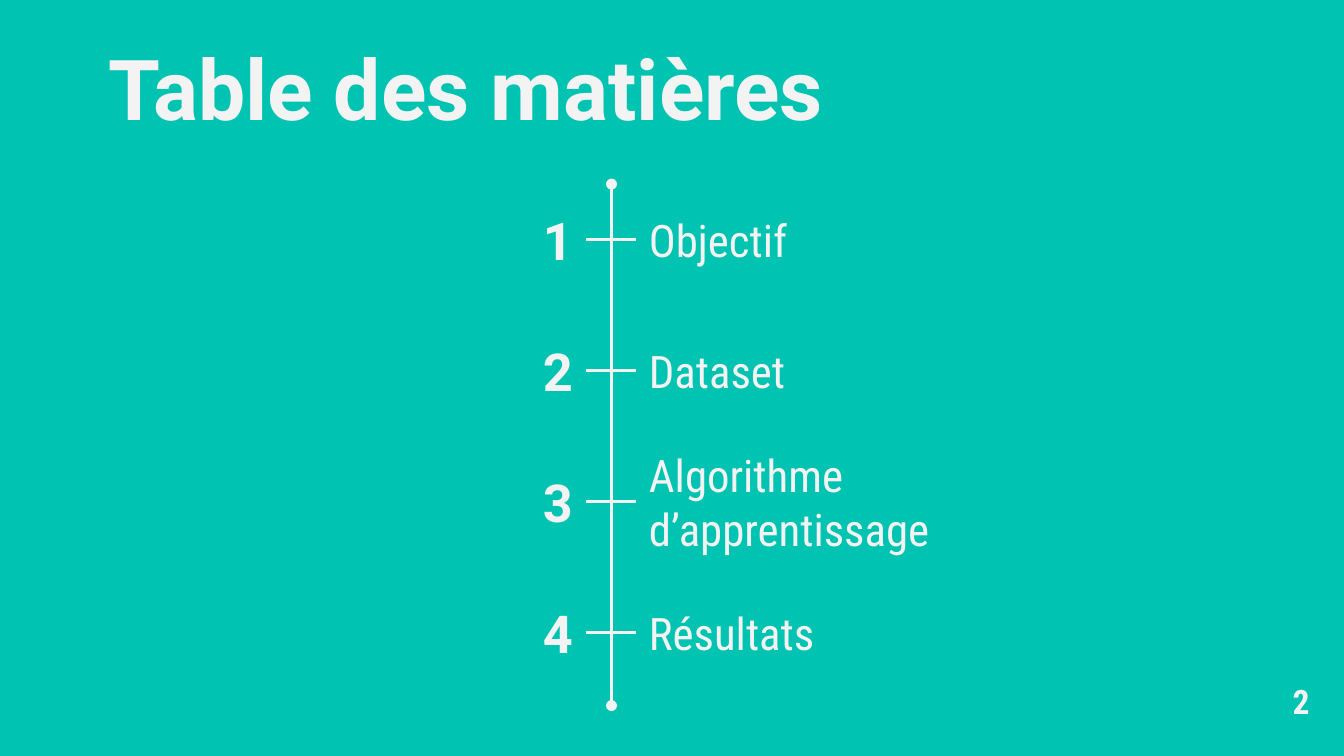
from dataclasses import dataclass

from lxml import etree
from pptx import Presentation
from pptx import util as u
from pptx.dml.color import RGBColor
from pptx.enum import shapes, text
from pptx.oxml.ns import qn

TITLE = "Table des matières"
ITEMS = ["Objectif", "Dataset", "Algorithme d’apprentissage", "Résultats"]
PAGE = "2"


@dataclass(frozen=True)
class Theme:
    back: RGBColor = RGBColor(0x00, 0xC3, 0xB1)
    ink: RGBColor = RGBColor(0xF3, 0xF3, 0xF3)
    head: str = "Roboto"
    body: str = "Roboto Condensed"
    title: int = 45
    num: int = 28
    item: int = 24
    page: int = 18
    line: float = 1.5


T = Theme()
LEFT, RIGHT = text.PP_ALIGN.LEFT, text.PP_ALIGN.RIGHT
WIDE = 10
HIGH = WIDE * 9 / 16
AXIS, TOP, END = 4.55, 1.37, 5.25    # timeline: across, and its two ends
LAST, ROW = 4.29, 0.83               # top of the last row, row height
PITCH = (LAST - TOP) / (len(ITEMS) - 1)
NUM_R, ITEM_L = 4.36, 4.73           # ends of each tick
NUM_W, ITEM_W = 0.88, 3.62


def write(slide, words, area, size, font, align=LEFT, bold=False,
          middle=False, pad=0.1):
    box = slide.shapes.add_textbox(*map(u.Inches, area))
    frame = box.text_frame
    frame.word_wrap = True
    frame.margin_top = frame.margin_bottom = u.Inches(pad)
    frame.margin_left = frame.margin_right = u.Inches(0.1)
    frame.vertical_anchor = (text.MSO_ANCHOR.MIDDLE if middle
                             else text.MSO_ANCHOR.TOP)
    para = frame.paragraphs[0]
    para.text, para.alignment = words, align
    para.font.size, para.font.name = u.Pt(size), font
    para.font.bold, para.font.color.rgb = bold, T.ink
    return box


def draw(slide, start=(0, 0), end=(0, 0), dots=False):
    """Add a straight line, with round ends if dots is set."""
    line = slide.shapes.add_connector(
        shapes.MSO_CONNECTOR.STRAIGHT, *map(u.Inches, (*start, *end)))
    line.line.color.rgb, line.line.width = T.ink, u.Pt(T.line)
    props = line.line._get_or_add_ln()
    for tag in ("a:headEnd", "a:tailEnd") if dots else ():
        etree.SubElement(props, qn(tag), type="oval")
    etree.SubElement(line._element.spPr, qn("a:effectLst"))
    return line


def main():
    deck = Presentation()
    deck.slide_width, deck.slide_height = u.Inches(WIDE), u.Inches(HIGH)
    slide = deck.slides.add_slide(deck.slide_layouts[6])
    fill = slide.background.fill
    fill.solid()
    fill.fore_color.rgb = T.back

    write(slide, TITLE, (0.01, 0.17, 6.91, 0.94), T.title, T.head,
          text.PP_ALIGN.CENTER, bold=True)
    draw(slide, (AXIS, TOP), (AXIS, END), dots=True)
    for row, item in enumerate(ITEMS):
        y = TOP + row * PITCH
        num = write(slide, str(row + 1), (NUM_R - NUM_W, y, NUM_W, ROW),
                    T.num, T.head, RIGHT, bold=True, middle=True)
        label = write(slide, item, (ITEM_L, y, ITEM_W, ROW),
                      T.item, T.body, middle=True)
        tick = draw(slide)
        tick.begin_connect(num, 3)
        tick.end_connect(label, 1)
    write(slide, PAGE, (9.52, 5.02, 0.33, 0.4), T.page, T.body,
          bold=True, pad=0.05)
    deck.save("out.pptx")


if __name__ == "__main__":
    main()
